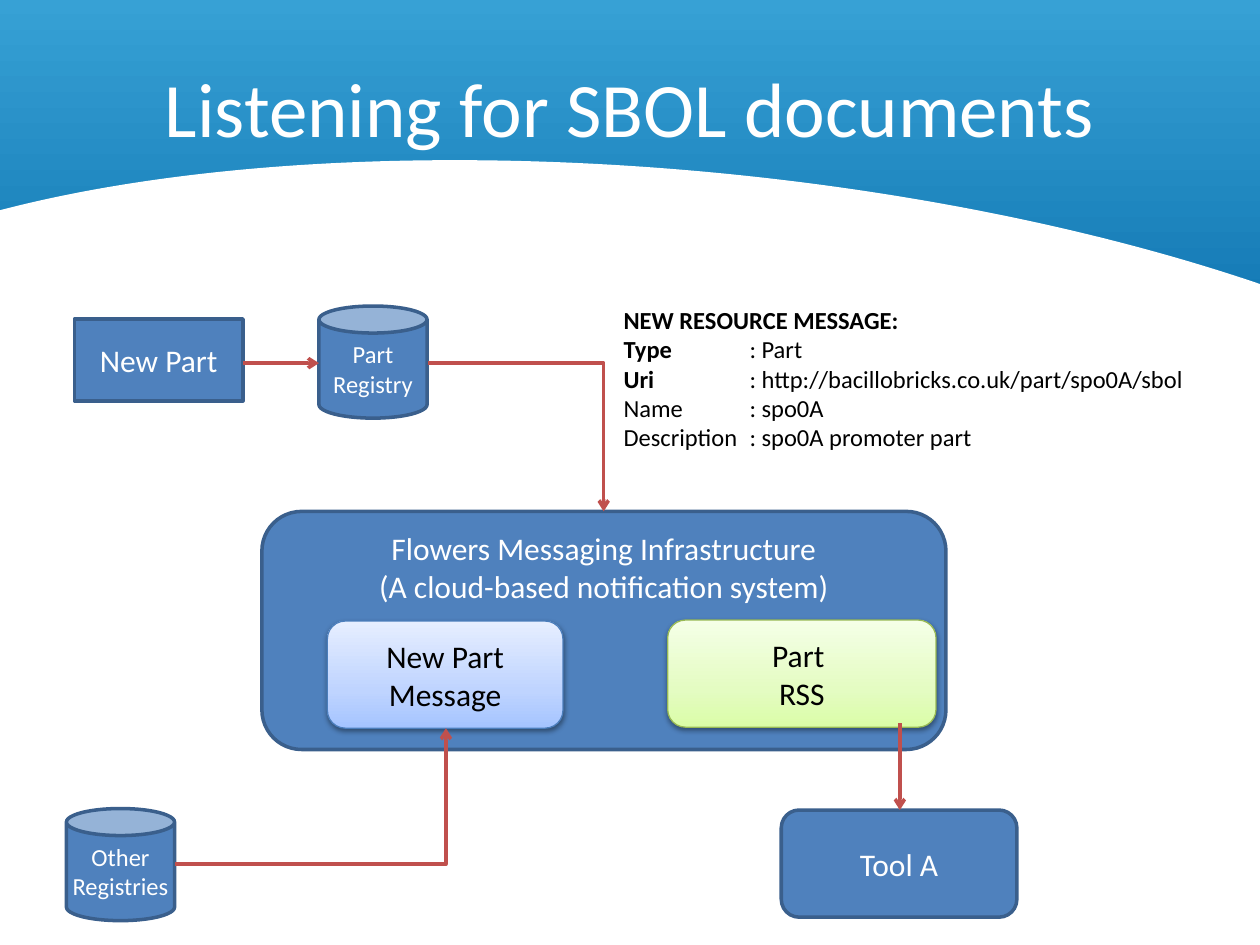
from typing import NamedTuple, Optional

from lxml import etree
from pptx import Presentation
from pptx.dml.color import RGBColor
from pptx.enum.shapes import MSO_CONNECTOR, MSO_SHAPE
from pptx.enum.text import MSO_ANCHOR, PP_ALIGN
from pptx.oxml.ns import qn
from pptx.util import Cm, Pt

RECTANGLE, ELLIPSE, CAN = MSO_SHAPE.RECTANGLE, MSO_SHAPE.OVAL, MSO_SHAPE.CAN
PROCESS = MSO_SHAPE.FLOWCHART_PROCESS
ROUNDED = MSO_SHAPE.FLOWCHART_ALTERNATE_PROCESS
STRAIGHT, ELBOW = MSO_CONNECTOR.STRAIGHT, MSO_CONNECTOR.ELBOW
TOP, MIDDLE = MSO_ANCHOR.TOP, MSO_ANCHOR.MIDDLE
CENTER, LEFT = PP_ALIGN.CENTER, PP_ALIGN.LEFT

FONT = "Calibri"
COLORS = {
    "white": "FFFFFF", "black": "000000", "box": "4F81BD", "outline": "3A5F8C",
    "arrow": "C0504D", "message_outline": "4B7EBC", "rss_outline": "98B955",
}
# Gradient stops as (percent, colour)
SKY = ((0, "37A1D5"), (100, "0266A5"))
MESSAGE_BLUE = ((0, "A4C4FF"), (35, "BFD4FF"), (100, "E6EEFF"))
RSS_GREEN = ((0, "DAFDA7"), (35, "E4FCC2"), (100, "F5FFE7"))


class Node(NamedTuple):
    """A labelled box of the diagram, with lengths in centimetres."""
    label: str
    kind: int
    left: float
    top: float
    width: float
    height: float
    size: int = 18
    anchor: int = MIDDLE
    gradient: Optional[tuple] = None
    outline: str = "outline"


class Arrow(NamedTuple):
    """An arrow between two points; an elbow runs across first, then up or down."""
    kind: int
    start: tuple[float, float]
    end: tuple[float, float]


class Field(NamedTuple):
    name: str
    value: str
    bold: bool


CAN_SIZE = (2.18, 2.26)
BOX_SIZE = (4.75, 2.16)
NODES = (
    Node("Part Registry", CAN, 6.43, 6.17, *CAN_SIZE, size=14),
    Node("New Part", PROCESS, 1.5, 6.43, 3.4, 1.65),
    Node("Flowers Messaging Infrastructure\n(A cloud-based notification system)",
         ROUNDED, 5.28, 10.31, 13.79, 4.8, anchor=TOP),
    Node("Tool A", ROUNDED, 15.75, 16.33, *BOX_SIZE),
    Node("Part \nRSS", ROUNDED, 13.46, 12.5, 5.41, 2.16,
         gradient=RSS_GREEN, outline="rss_outline"),
    Node("Other Registries", CAN, 1.34, 16.3, *CAN_SIZE, size=14),
    Node("New Part Message", ROUNDED, 6.6, 12.52, *BOX_SIZE,
         gradient=MESSAGE_BLUE, outline="message_outline"),
)
ARROWS = (
    Arrow(STRAIGHT, (4.9, 7.32), (6.43, 7.32)),
    Arrow(ELBOW, (8.63, 7.32), (12.17, 10.31)),
    Arrow(ELBOW, (3.53, 17.42), (8.99, 14.68)),
    Arrow(STRAIGHT, (18.14, 14.58), (18.14, 16.33)),
)
FIELDS = (
    Field("NEW RESOURCE MESSAGE:", "", True),
    Field("Type\t", ": Part", True),
    Field("Uri\t", ": http://bacillobricks.co.uk/part/spo0A/sbol", True),
    Field("Name\t", ": spo0A", False),
    Field("Description\t", ": spo0A promoter part", False),
)
VALUE_TAB = Cm(2.54)


def rgb(name: str) -> RGBColor:
    return RGBColor.from_string(COLORS[name])


def fill_gradient(shape, stops: tuple, angle: int) -> None:
    """Fill a shape with a linear gradient; the angle runs clockwise in degrees."""
    gradient = etree.Element(qn("a:gradFill"), rotWithShape="1")
    stop_list = etree.SubElement(gradient, qn("a:gsLst"))
    for percent, color in stops:
        stop = etree.SubElement(stop_list, qn("a:gs"), pos=str(percent * 1000))
        etree.SubElement(stop, qn("a:srgbClr"), val=color)
    etree.SubElement(gradient, qn("a:lin"), ang=str(angle * 60000), scaled="0")
    shape.element.spPr.find(qn("a:prstGeom")).addnext(gradient)


def add_soft_shadow(shape) -> None:
    effects = shape.element.spPr.find(qn("a:effectLst"))
    shadow = etree.SubElement(effects, qn("a:outerShdw"), blurRad=str(Pt(3.1)),
                              dist=str(Pt(1.6)), dir="5400000", rotWithShape="0")
    color = etree.SubElement(shadow, qn("a:srgbClr"), val=COLORS["black"])
    etree.SubElement(color, qn("a:alpha"), val="38000")


def add_tab_stop(paragraph, position: int) -> None:
    properties = paragraph._p.get_or_add_pPr()
    tabs = etree.SubElement(properties, qn("a:tabLst"))
    etree.SubElement(tabs, qn("a:tab"), pos=str(position), algn="l")


def format_text(frame, size: int, color: str, align: int, anchor: int) -> None:
    frame.word_wrap = True
    frame.vertical_anchor = anchor
    for paragraph in frame.paragraphs:
        paragraph.alignment = align
        for run in paragraph.runs:
            run.font.name = FONT
            run.font.size = Pt(size)
            run.font.color.rgb = rgb(color)


def draw_backdrop(shapes) -> None:
    sky = shapes.add_shape(RECTANGLE, 0, Cm(-0.03), Cm(25.4), Cm(9.12))
    fill_gradient(sky, SKY, 90)
    curve = shapes.add_shape(ELLIPSE, Cm(-5.72), Cm(3.45), Cm(38.96), Cm(13.26))
    curve.rotation = 5.4
    curve.fill.solid()
    curve.fill.fore_color.rgb = rgb("white")
    for shape in (sky, curve):
        shape.line.fill.background()
        shape.shadow.inherit = False


def draw_title(shapes) -> None:
    title = shapes.add_textbox(Cm(1.27), Cm(0.41), Cm(22.86), Cm(3.48))
    title.text_frame.text = "Listening for SBOL documents"
    format_text(title.text_frame, 44, "white", CENTER, MIDDLE)


def draw_node(shapes, node: Node) -> None:
    shape = shapes.add_shape(node.kind, Cm(node.left), Cm(node.top),
                             Cm(node.width), Cm(node.height))
    shape.shadow.inherit = False
    if node.gradient:
        fill_gradient(shape, node.gradient, 270)
        add_soft_shadow(shape)
    else:
        shape.fill.solid()
        shape.fill.fore_color.rgb = rgb("box")
    shape.line.color.rgb = rgb(node.outline)
    shape.line.width = Pt(0.75 if node.gradient else 2)
    frame = shape.text_frame
    frame.text = node.label
    if node.kind == CAN:
        frame.margin_left = frame.margin_right = Cm(0.05)
    format_text(frame, node.size, "black" if node.gradient else "white",
                CENTER, node.anchor)


def draw_arrow(shapes, arrow: Arrow) -> None:
    connector = shapes.add_connector(
        arrow.kind, *(Cm(length) for length in arrow.start + arrow.end))
    connector.line.color.rgb = rgb("arrow")
    connector.line.width = Pt(2)
    properties = connector.element.spPr
    if arrow.kind == ELBOW:
        properties.find(qn("a:prstGeom")).set("prst", "bentConnector2")
    etree.SubElement(properties.find(qn("a:ln")), qn("a:tailEnd"), type="arrow")
    etree.SubElement(properties, qn("a:effectLst"))


def draw_message(shapes) -> None:
    frame = shapes.add_textbox(Cm(12.32), Cm(6.02), Cm(12.83), Cm(3.25)).text_frame
    frame.text = "\n".join(field.name for field in FIELDS)
    for paragraph, field in zip(frame.paragraphs, FIELDS):
        paragraph.runs[0].font.bold = field.bold
        if field.value:
            add_tab_stop(paragraph, VALUE_TAB)
            paragraph.add_run().text = field.value
    format_text(frame, 14, "black", LEFT, TOP)


def main() -> None:
    presentation = Presentation()
    presentation.slide_width, presentation.slide_height = Cm(25.4), Cm(19.05)
    shapes = presentation.slides.add_slide(presentation.slide_layouts[6]).shapes
    draw_backdrop(shapes)
    draw_title(shapes)
    for node in NODES:
        draw_node(shapes, node)
    draw_message(shapes)
    for arrow in ARROWS:
        draw_arrow(shapes, arrow)
    presentation.save("out.pptx")


if __name__ == "__main__":
    main()
